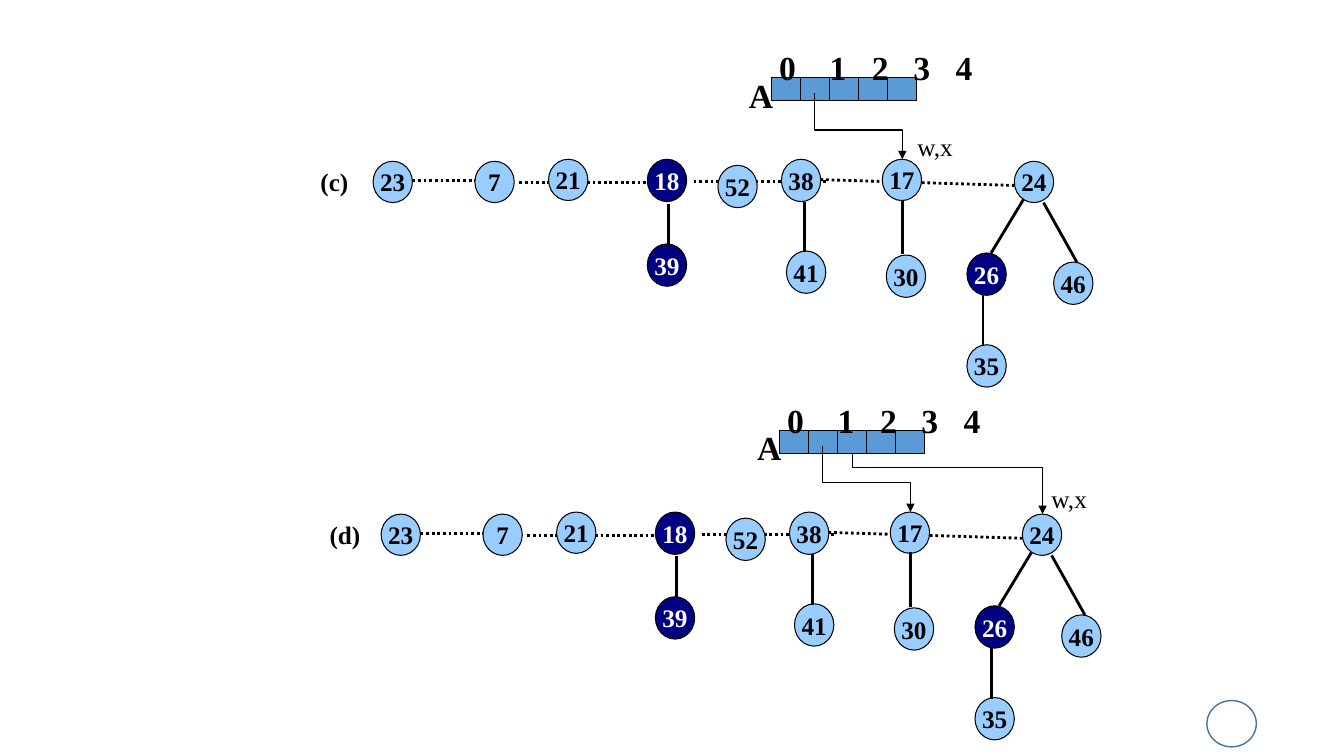
import dataclasses
import typing

import lxml.etree
import pptx
import pptx.dml.color
import pptx.enum.dml
import pptx.enum.shapes
import pptx.enum.text
import pptx.util
from pptx.oxml.ns import qn

Inches = pptx.util.Inches
Shape = pptx.enum.shapes.MSO_SHAPE
Link = pptx.enum.shapes.MSO_CONNECTOR
Align = pptx.enum.text.PP_ALIGN
Anchor = pptx.enum.text.MSO_ANCHOR
Fit = pptx.enum.text.MSO_AUTO_SIZE
DOTS = pptx.enum.dml.MSO_LINE.ROUND_DOT

BLACK, WHITE, NAVY, SKY, BLUE = "000000", "FFFFFF", "000080", "99CCFF", "5B9BD5"
FONT = "Times New Roman"
CELL = 1.15 / 4


@dataclasses.dataclass
class Node:
    key: str
    x: float
    y: float
    h: float = 0.42
    dark: bool = False


@dataclasses.dataclass
class Edge:
    x1: float
    y1: float
    x2: float
    y2: float
    dash: typing.Any = None
    width: float = 2


@dataclasses.dataclass
class Arrow:
    x1: float
    y1: float
    x2: float
    y2: float
    bend: float = 0.5


@dataclasses.dataclass
class Label:
    text: str
    x: float
    y: float
    w: float
    h: float = 0.4
    size: float = 18
    bold: bool = True
    tabs: tuple[float, ...] = ()


@dataclasses.dataclass
class Panel:
    dx: float
    dy: float
    name: Label
    mark: Label
    arrows: list[Arrow]


NODES = [
    Node("23", 3.7, 1.6, 0.41), Node("7", 4.71, 1.6, 0.41),
    Node("21", 5.44, 1.58, 0.41), Node("18", 6.42, 1.58, dark=True),
    Node("52", 7.12, 1.64), Node("38", 7.75, 1.58),
    Node("17", 8.75, 1.58, 0.41), Node("24", 10.06, 1.6, 0.41),
    Node("39", 6.42, 2.42, dark=True), Node("41", 7.8, 2.49),
    Node("30", 8.79, 2.53), Node("26", 9.59, 2.51, dark=True),
    Node("46", 10.45, 2.6), Node("35", 9.59, 3.42),
]
ROOTS = [
    Edge(4.09, 1.79, 4.71, 1.79, DOTS), Edge(5.15, 1.81, 6.42, 1.81, DOTS),
    Edge(6.88, 1.8, 8.2, 1.8, DOTS), Edge(8.08, 1.78, 10.06, 1.84, DOTS),
]
EDGES = [
    Edge(6.63, 2.02, 6.63, 2.43), Edge(7.98, 2, 7.98, 2.5),
    Edge(8.95, 1.98, 8.95, 2.52), Edge(10.15, 1.98, 9.83, 2.51),
    Edge(10.35, 2.01, 10.68, 2.6), Edge(9.75, 2.93, 9.75, 3.43),
]
STEM = Edge(8.08, 0.92, 8.08, 1, width=0.75)
HEADS = [
    Label("0\t1\t2\t3\t4", 7.63, 0.42, 2.14, 0.51, 24, tabs=(0.5, 0.92, 1.33, 1.75)),
    Label("A", 7.33, 0.69, 0.45, 0.51, 24),
]
FIRST = Arrow(8.08, 1, 8.95, 1.58)
PANELS = [
    Panel(0, 0, Label("(c)", 3.08, 1.6, 0.48),
          Label("w,x", 9, 1.25, 0.57, bold=False), [FIRST]),
    Panel(0.08, 3.5, Label("(d)", 3.09, 1.6, 0.51),
          Label("w,x", 10.25, 1.25, 0.57, bold=False),
          [FIRST, Arrow(8.37, 1, 10.26, 1.6, 0.23)]),
]


def color(code: str) -> pptx.dml.color.RGBColor:
    return pptx.dml.color.RGBColor.from_string(code)


def apply(item: typing.Any, values: dict[str, typing.Any]) -> None:
    for name, value in values.items():
        setattr(item, name, value)


def write(shape: typing.Any, text: str, size: float, bold: bool, code: str) -> None:
    line = shape.text_frame.paragraphs[0]
    run = line.add_run()
    run.text = text
    apply(run.font, {"name": FONT, "size": pptx.util.Pt(size), "bold": bold})
    run.font.color.rgb = color(code)


def ink(line: typing.Any, code: str, width: float) -> None:
    line.color.rgb = color(code)
    line.width = pptx.util.Pt(width)


def block(slide: typing.Any, kind: typing.Any, box: tuple[float, ...],
          fill: str | None, code: str = BLACK, width: float = 0.75) -> typing.Any:
    shape = slide.shapes.add_shape(kind, *map(Inches, box))
    shape.shadow.inherit = False
    if fill:
        shape.fill.solid()
        shape.fill.fore_color.rgb = color(fill)
    else:
        shape.fill.background()
    ink(shape.line, code, width)
    return shape


def draw_node(slide: typing.Any, node: Node, dx: float, dy: float) -> None:
    box = node.x + dx, node.y + dy, 0.39, node.h
    shape = block(slide, Shape.OVAL, box, NAVY if node.dark else SKY)
    apply(shape.text_frame, {"word_wrap": False, "vertical_anchor": Anchor.MIDDLE})
    shape.text_frame.paragraphs[0].alignment = Align.CENTER
    write(shape, node.key, 18, True, WHITE if node.dark else BLACK)


def draw_label(slide: typing.Any, label: Label, dx: float, dy: float) -> None:
    box = label.x + dx, label.y + dy, label.w, label.h
    shape = slide.shapes.add_textbox(*map(Inches, box))
    apply(shape.text_frame,
          {"word_wrap": bool(label.tabs), "auto_size": Fit.SHAPE_TO_FIT_TEXT})
    if label.tabs:
        props = shape.text_frame.paragraphs[0]._p.get_or_add_pPr()
        stops = lxml.etree.SubElement(props, qn("a:tabLst"))
        for stop in label.tabs:
            lxml.etree.SubElement(stops, qn("a:tab"), pos=str(Inches(stop)), algn="l")
    write(shape, label.text, label.size, label.bold, BLACK)


def draw_link(slide: typing.Any, kind: typing.Any, ends: tuple[float, ...],
              width: float) -> typing.Any:
    link = slide.shapes.add_connector(kind, *map(Inches, ends))
    ink(link.line, BLACK, width)
    lxml.etree.SubElement(link._element.spPr, qn("a:effectLst"))
    return link


def draw_edge(slide: typing.Any, edge: Edge, dx: float, dy: float) -> None:
    ends = edge.x1 + dx, edge.y1 + dy, edge.x2 + dx, edge.y2 + dy
    link = draw_link(slide, Link.STRAIGHT, ends, edge.width)
    if edge.dash:
        link.line.dash_style = edge.dash


def draw_arrow(slide: typing.Any, arrow: Arrow, dx: float, dy: float) -> None:
    mid_x = (arrow.x1 + arrow.x2) / 2 + dx
    mid_y = (arrow.y1 + arrow.y2) / 2 + dy
    half_w = (arrow.y2 - arrow.y1) / 2
    half_h = (arrow.x2 - arrow.x1) / 2
    ends = mid_x + half_w, mid_y - half_h, mid_x - half_w, mid_y + half_h
    link = draw_link(slide, Link.ELBOW, ends, 0.75)
    props = link._element.spPr
    props.find(qn("a:xfrm")).set("rot", str(270 * 60000))
    guides = props.find(qn("a:prstGeom")).find(qn("a:avLst"))
    lxml.etree.SubElement(guides, qn("a:gd"), name="adj1",
                          fmla=f"val {round(arrow.bend * 100000)}")
    lxml.etree.SubElement(props.find(qn("a:ln")), qn("a:tailEnd"), type="triangle")


def draw_panel(slide: typing.Any, panel: Panel) -> None:
    shift = panel.dx, panel.dy
    for edge in ROOTS:
        draw_edge(slide, edge, *shift)
    for node in NODES:
        draw_node(slide, node, *shift)
    for slot in range(5):
        box = 7.65 + slot * CELL + panel.dx, 0.77 + panel.dy, CELL, 0.23
        block(slide, Shape.RECTANGLE, box, BLUE)
    for edge in [*EDGES, STEM]:
        draw_edge(slide, edge, *shift)
    for label in [*HEADS, panel.name, panel.mark]:
        draw_label(slide, label, *shift)
    for arrow in panel.arrows:
        draw_arrow(slide, arrow, *shift)


def main() -> None:
    deck = pptx.Presentation()
    apply(deck, {"slide_width": Inches(13.33), "slide_height": Inches(7.5)})
    slide = deck.slides.add_slide(deck.slide_layouts[6])
    block(slide, Shape.OVAL, (11.97, 6.95, 0.49, 0.46), None, "43739E", 1)
    for panel in PANELS:
        draw_panel(slide, panel)
    deck.save("out.pptx")


if __name__ == "__main__":
    main()
